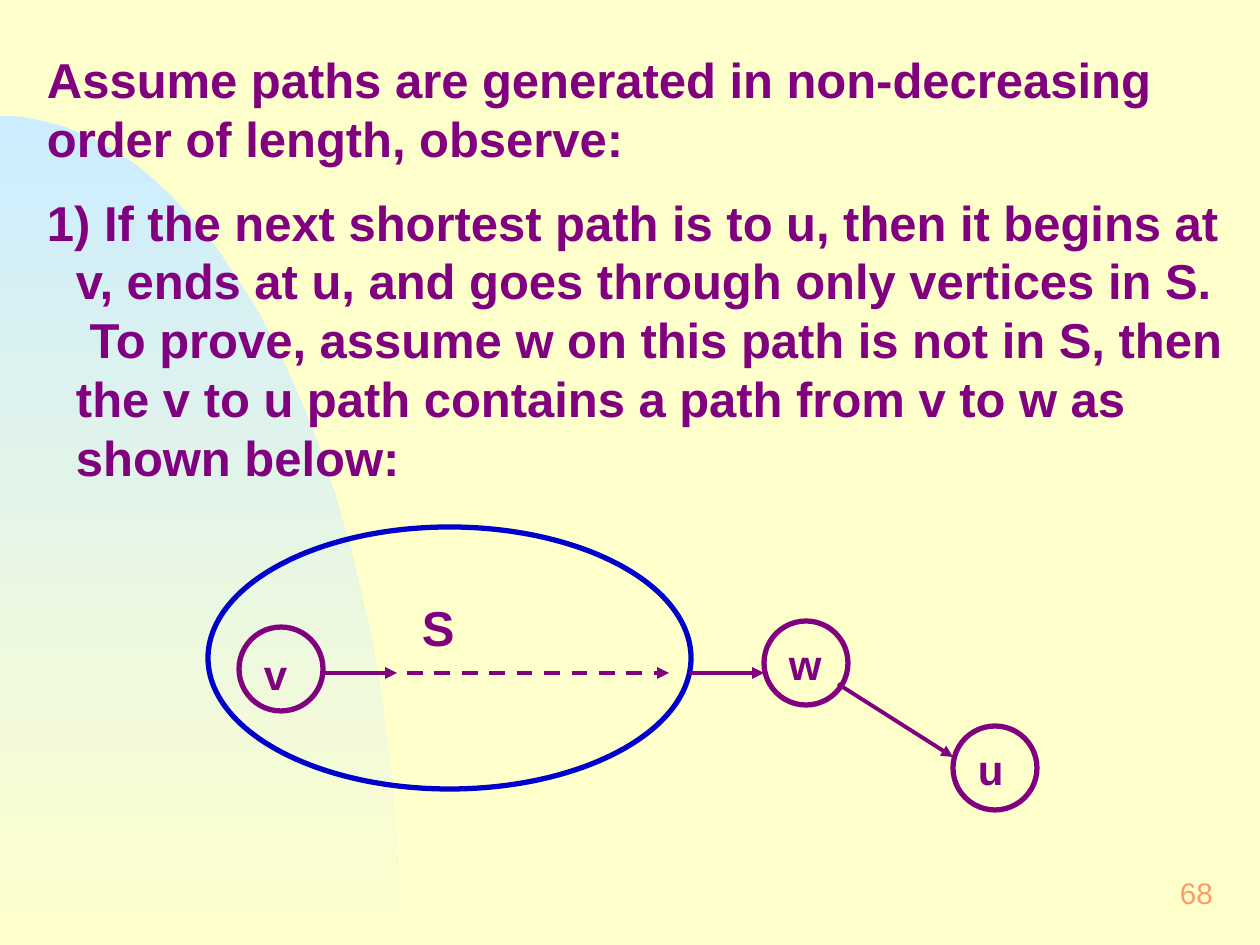
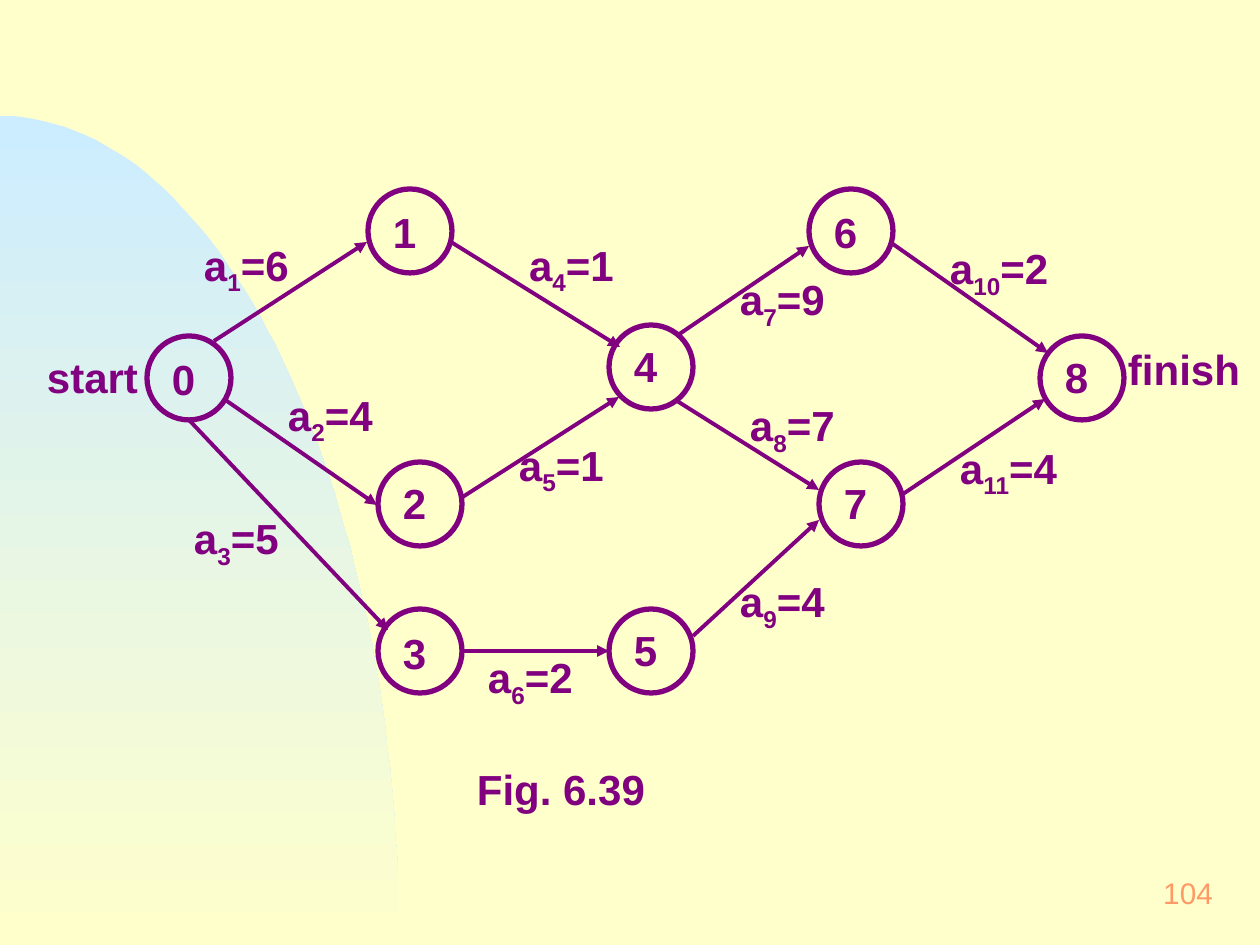
import pptx
import pptx.dml.color
import pptx.enum.dml
import pptx.enum.shapes
import pptx.enum.text
import pptx.oxml.ns
import pptx.util
from lxml import etree

RGB = pptx.dml.color.RGBColor
CREAM = RGB(0xFF, 0xFF, 0xCC)
SKY = RGB(0xCC, 0xEC, 0xFF)
PLUM = RGB(0x80, 0x00, 0x80)
BLUE = RGB(0x00, 0x00, 0xCC)
PEACH = RGB(0xFF, 0x99, 0x66)

FONT = "Arial"
SCALE = 914400 / 126
WIDE, HIGH = 1260, 945
NODE = 84
LABEL = 24
LEAD = 1.2

TERMS = [
    "Assume paths are generated in non-decreasing order of length, observe:",
    " If the next shortest path is to u, then it begins at v, ends at u, and goes through "
    "only vertices in S.  To prove, assume w on this path is not in S, then the v to u path "
    "contains a path from v to w as shown below:",
]

STEPS = [
    ("0", 115, 147, 10), ("1", 336, 0, 10), ("2", 346, 273, 8),
    ("3", 346, 420, 11), ("4", 577, 136, 8), ("5", 577, 420, 8),
    ("6", 777, 0, 10), ("7", 787, 273, 8), ("8", 1008, 147, 8),
]

TASKS = [
    (6, (182, 152, 335, 53), (157, 49)),
    (4, (192, 210, 345, 316), (241, 199)),
    (5, (157, 231, 356, 441), (147, 323)),
    (1, (419, 53, 588, 158), (482, 49)),
    (1, (429, 309, 587, 208), (472, 249)),
    (2, (430, 462, 577, 462), (441, 462)),
    (9, (646, 146, 777, 57), (693, 84)),
    (7, (645, 212, 787, 301), (703, 210)),
    (4, (661, 447, 787, 331), (693, 386)),
    (2, (858, 53, 1016, 164), (903, 53)),
    (4, (871, 305, 1013, 210), (913, 252)),
]


def px(*sizes):
    return [pptx.util.Emu(round(size * SCALE)) for size in sizes]


def tag(parent, name, **attrs):
    return etree.SubElement(parent, pptx.oxml.ns.qn(name), attrs)


def set_frame(shape):
    frame = shape.text_frame
    frame.word_wrap = True
    frame.auto_size = pptx.enum.text.MSO_AUTO_SIZE.NONE
    frame.margin_left, frame.margin_top = px(15, 8)
    frame.margin_right, frame.margin_bottom = px(15, 8)
    return frame


def add_run(par, text, size, color=PLUM, bold=True):
    run = par.add_run()
    run.text = text
    font = run.font
    font.name, font.size, font.bold = FONT, pptx.util.Pt(size), bold
    font.color.rgb = color
    return font


def add_label(slide, box, text, size=LABEL, sub="", tail=""):
    frame = set_frame(slide.shapes.add_textbox(*px(*box)))
    par = frame.paragraphs[0]
    par.line_spacing = pptx.util.Pt(size * LEAD)
    add_run(par, text, size)
    if sub:
        low = add_run(par, sub, size)
        low._element.set("baseline", "-25000")
        add_run(par, tail, size)


def add_ring(slide, box, color=PLUM):
    oval = pptx.enum.shapes.MSO_SHAPE.OVAL
    ring = slide.shapes.add_shape(oval, *px(*box))
    ring.shadow.inherit = False
    ring.fill.background()
    ring.line.color.rgb = color
    ring.line.width = pptx.util.Pt(3)


def add_node(slide, left, top, name, drop, width):
    add_ring(slide, (left, top, NODE, NODE))
    add_label(slide, (left + 10, top + drop, width, 66), name)


def add_arrow(slide, left, top, ends, dash=False):
    x1, y1, x2, y2 = ends
    kind = pptx.enum.shapes.MSO_CONNECTOR.STRAIGHT
    arrow = slide.shapes.add_connector(
        kind, *px(left + x1, top + y1, left + x2, top + y2))
    arrow.line.color.rgb = PLUM
    arrow.line.width = pptx.util.Pt(2.25)
    if dash:
        arrow.line.dash_style = pptx.enum.dml.MSO_LINE.DASH
    props = arrow.element.spPr
    tag(props.find(pptx.oxml.ns.qn("a:ln")), "a:tailEnd", type="triangle")
    tag(props, "a:effectLst")


def add_page(slide, number):
    frame = set_frame(slide.shapes.add_textbox(*px(966, 861, 262, 63)))
    frame.vertical_anchor = pptx.enum.text.MSO_ANCHOR.MIDDLE
    par = frame.paragraphs[0]
    par.alignment = pptx.enum.text.PP_ALIGN.RIGHT
    add_run(par, number, 17, PEACH, False)


def curve_point(step):
    back = 1 - step
    parts = (back ** 3, 3 * back ** 2 * step, 3 * back * step ** 2, step ** 3)
    spots = ((0, 116), (220, 116), (399, 488), (399, HIGH))
    return tuple(sum(part * spot[axis] for part, spot in zip(parts, spots))
                 for axis in (0, 1))


def dress_master(master, slide):
    master.background.fill.solid()
    master.background.fill.fore_color.rgb = CREAM
    path = slide.shapes.build_freeform(0, 116, scale=SCALE)
    path.add_line_segments([curve_point(i / 60) for i in range(1, 61)] + [(0, HIGH)])
    swoosh = path.convert_to_shape()
    swoosh.shadow.inherit = False
    swoosh.line.fill.background()
    swoosh.fill.gradient()
    swoosh.fill.gradient_angle = 270
    for stop, color in zip(swoosh.fill.gradient_stops, (SKY, CREAM)):
        stop.color.rgb = color
    master.shapes.element.insert(2, swoosh.element)


def fill_body(slide, box):
    title = slide.shapes.title.element
    title.getparent().remove(title)
    body = slide.placeholders[1]
    body.left, body.top, body.width, body.height = px(*box)
    frame = set_frame(body)
    hang = px(29)[0]
    for index, text in enumerate(TERMS):
        par = frame.add_paragraph() if index else frame.paragraphs[0]
        props = par._p.get_or_add_pPr()
        props.set("marL", str(hang * index))
        props.set("indent", str(-hang * index))
        if index:
            tag(props, "a:buFont", typeface=FONT)
            tag(props, "a:buAutoNum", type="arabicParenR")
        else:
            tag(props, "a:buNone")
        par.space_before = pptx.util.Pt(14 * index)
        par.line_spacing = pptx.util.Pt(28 * LEAD)
        add_run(par, text, 28)


def draw_path(slide, left, top):
    add_ring(slide, (left, top, 483, 262), BLUE)
    add_label(slide, (left + 199, top + 63, 63, 74), "S", 28)
    for name, x, y, drop in (("v", 31, 100, 14), ("w", 556, 94, 10), ("u", 745, 199, 10)):
        add_node(slide, left + x, top + y, name, drop, 63)
    for ends in ((115, 146, 189, 146), (482, 146, 556, 146), (630, 157, 745, 230)):
        add_arrow(slide, left, top, ends)
    add_arrow(slide, left, top, (199, 146, 461, 146), True)


def draw_graph(slide, left, top):
    for name, x, y, drop in STEPS:
        add_node(slide, left + x, top + y, name, drop, 53)
    for index, (cost, ends, (x, y)) in enumerate(TASKS, 1):
        add_arrow(slide, left, top, ends)
        add_label(slide, (left + x, top + y, 147, 73), "a",
                  sub=str(index), tail=f"={cost}")
    for text, x, y, width in (("start", 0, 155, 147), ("finish", 1081, 147, 147),
                              ("Fig. 6.39", 430, 567, 220)):
        add_label(slide, (left + x, top + y, width, 66), text)


def main():
    deck = pptx.Presentation()
    deck.slide_width, deck.slide_height = px(WIDE, HIGH)
    proof = deck.slides.add_slide(deck.slide_layouts[1])
    dress_master(deck.slide_master, proof)
    fill_body(proof, (32, 42, 1207, 452))
    draw_path(proof, 208, 527)
    add_page(proof, "68")
    chart = deck.slides.add_slide(deck.slide_layouts[6])
    draw_graph(chart, 32, 189)
    add_page(chart, "104")
    deck.save("out.pptx")


if __name__ == "__main__":
    main()
